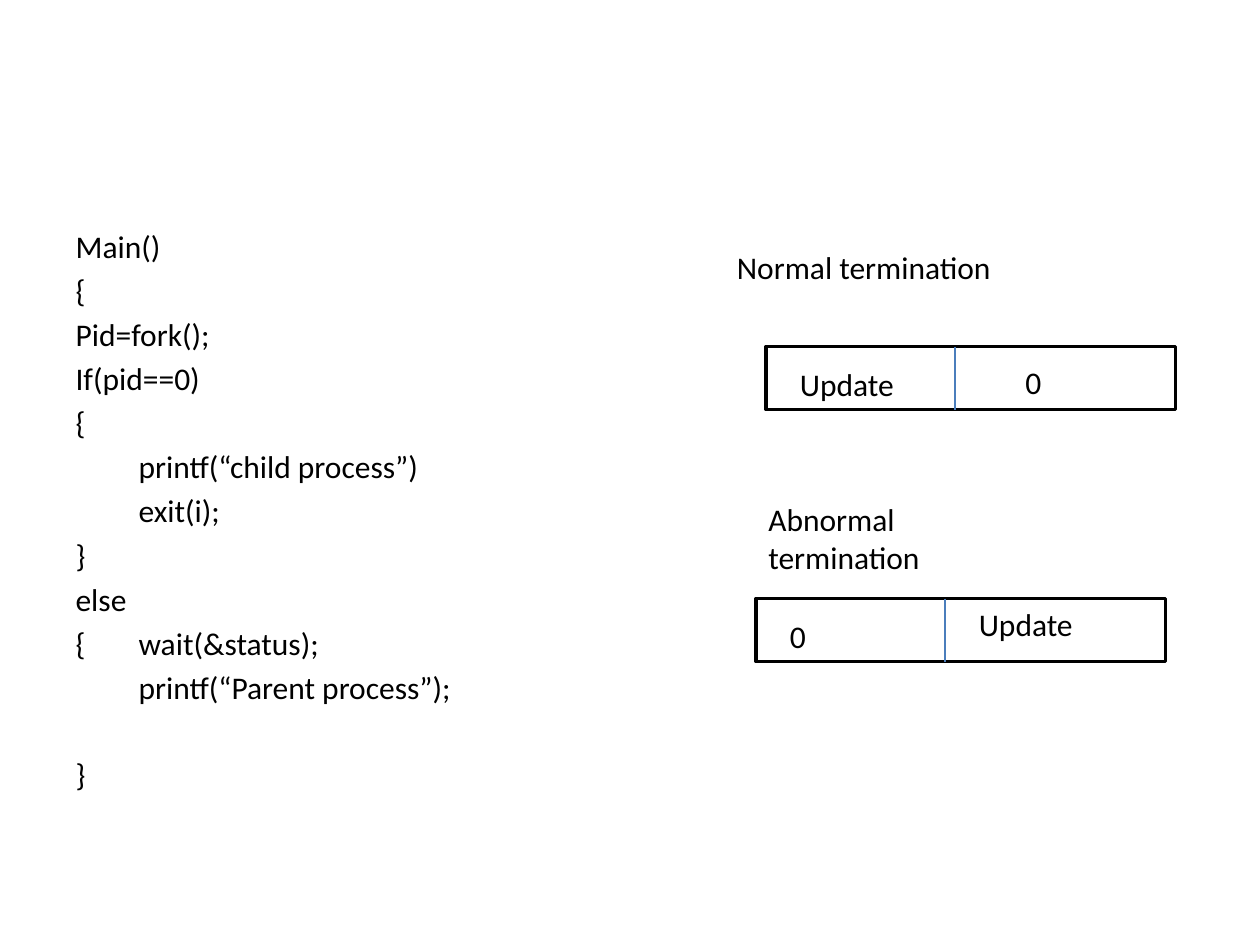
from lxml import etree
from pptx import Presentation
from pptx.dml.color import RGBColor
from pptx.enum.shapes import MSO_CONNECTOR, MSO_SHAPE
from pptx.enum.text import MSO_AUTO_SIZE
from pptx.oxml.ns import qn
from pptx.util import Inches, Pt

STRAIGHT = MSO_CONNECTOR.STRAIGHT
RECTANGLE = MSO_SHAPE.RECTANGLE
NO_FIT = MSO_AUTO_SIZE.NONE

BLACK = RGBColor(0x00, 0x00, 0x00)
DIVIDER_BLUE = RGBColor(0x4B, 0x7E, 0xBC)
FONT = "Calibri"
TEXT_SIZE = Pt(18)
STATUS_WIDTH, STATUS_HEIGHT, DIVIDER_AT = 3.25, 0.5, 1.5
CLOSING_GAP = Pt(28.5)

CODE_LINES = [
    "Main()", "{", "Pid=fork();", "If(pid==0)", "{",
    "\tprintf(“child process”)", "\texit(i);", "}", "else",
    "{\twait(&status);", "\tprintf(“Parent process”);", "}",
]


def add_span(para, text):
    """Add one run in the slide's text style."""
    span = para.add_run()
    span.text = text
    span.font.name = FONT
    span.font.size = TEXT_SIZE
    span.font.color.rgb = BLACK


def add_label(page, left, top, width, height, text):
    """Add a wrapping text box, measured in inches."""
    box = page.shapes.add_textbox(*map(Inches, (left, top, width, height)))
    box.text_frame.word_wrap = True
    add_span(box.text_frame.paragraphs[0], text)


def fill_code(body, left, top, width, height):
    """Write the program listing into the body placeholder."""
    body.left, body.top, body.width, body.height = map(
        Inches, (left, top, width, height))
    frame = body.text_frame
    frame.auto_size = NO_FIT
    for index, line in enumerate(CODE_LINES):
        para = frame.add_paragraph() if index else frame.paragraphs[0]
        add_span(para, line)
        properties = para._p.get_or_add_pPr()
        properties.set("marL", "0")
        properties.set("indent", "0")
        etree.SubElement(properties, qn("a:buNone"))
    para.space_before = CLOSING_GAP


def add_status(page, left, top, labels):
    """Draw a two-part status word; label boxes are offsets from its corner."""
    outline = page.shapes.add_shape(RECTANGLE, *map(
        Inches, (left, top, STATUS_WIDTH, STATUS_HEIGHT)))
    outline.shadow.inherit = False
    outline.fill.background()
    outline.line.color.rgb = BLACK
    outline.line.width = Pt(2)

    middle = left + DIVIDER_AT
    divider = page.shapes.add_connector(STRAIGHT, *map(
        Inches, (middle, top, middle, top + STATUS_HEIGHT)))
    divider.line.color.rgb = DIVIDER_BLUE
    divider.line.width = Pt(0.75)
    etree.SubElement(divider._element.spPr, qn("a:effectLst"))

    for text, across, down, width, height in labels:
        add_label(page, left + across, top + down, width, height, text)


def build_page(deck):
    """Place the listing beside the two termination cases."""
    page = deck.slides.add_slide(deck.slide_layouts[1])
    title = page.shapes.title._element
    title.getparent().remove(title)
    fill_code(page.placeholders[1], 0.5, 1.75, 9, 4.95)
    add_status(page, 6.08, 2.75, [
        ("Normal termination", -0.33, -0.83, 2.58, 0.4),
        ("Update", 0.17, 0.1, 1.17, 0.4),
        ("0", 1.96, 0.08, 1.46, 0.4),
    ])
    add_status(page, 6, 4.75, [
        ("Abnormal termination", 0, -0.83, 2.33, 0.71),
        ("0", 0.17, 0.1, 1.17, 0.4),
        ("Update", 1.67, 0, 1.17, 0.4),
    ])


deck = Presentation()
deck.slide_width, deck.slide_height = Inches(10), Inches(7.5)
build_page(deck)
deck.save("out.pptx")
